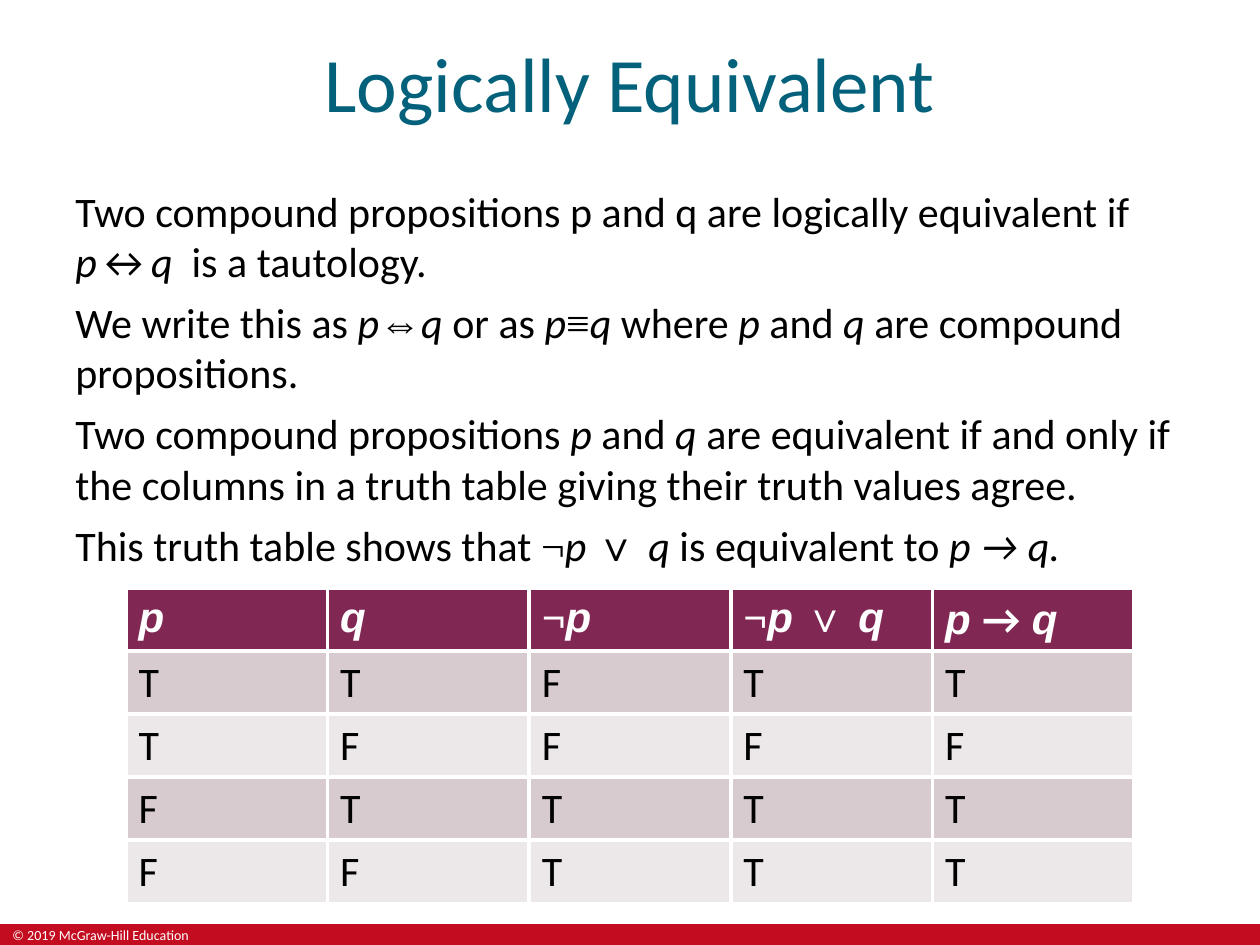
from dataclasses import dataclass

from lxml.etree import SubElement
from pptx import Presentation
from pptx.dml.color import RGBColor
from pptx.enum.shapes import MSO_SHAPE
from pptx.enum.text import MSO_ANCHOR, PP_ALIGN
from pptx.oxml.ns import qn
from pptx.util import Emu, Inches, Pt

PX = Inches(1) / 126


@dataclass(frozen=True)
class Theme:
    title: str = "04617B"
    ink: str = "000000"
    paper: str = "FFFFFF"
    bar: str = "C30C20"
    header: str = "802754"
    bands: tuple = ("D7CBCF", "ECE7E9")
    title_size: int = 44
    body_size: int = 24
    footer_size: int = 8
    border: float = 2.25


@dataclass(frozen=True)
class Face:
    font: str = "Calibri"
    italic: bool = False
    bold: bool = False


THEME = Theme()
PLAIN = Face()
VARIABLE = Face(italic=True)
SYMBOL = Face("Times New Roman")
HEAD_VARIABLE = Face("Arial", italic=True, bold=True)
HEAD_SYMBOL = Face("Times New Roman", bold=True)
HEAD_ARROW = Face(bold=True)

P = ("p", VARIABLE)
Q = ("q", VARIABLE)
AND = (" and ", PLAIN)

STATEMENTS = [
    [("Two compound propositions p and q are logically equivalent if ", PLAIN),
     P, ("↔", PLAIN), Q, ("  is a tautology.", PLAIN)],
    [("We write this as ", PLAIN), P, ("⇔", SYMBOL), Q, (" or as ", PLAIN),
     P, ("≡", SYMBOL), Q, (" where ", PLAIN), P, AND, Q,
     (" are compound propositions.", PLAIN)],
    [("Two compound propositions ", PLAIN), P, AND, Q,
     (" are equivalent if and only if the columns in a truth table "
      "giving their truth values agree.", PLAIN)],
    [("This truth table shows that ", PLAIN), ("¬", SYMBOL), ("p ", VARIABLE),
     ("∨ ", SYMBOL), ("q ", VARIABLE), ("is equivalent to ", PLAIN),
     ("p → q.", VARIABLE)],
]

HEADINGS = [
    [("p", HEAD_VARIABLE)],
    [("q", HEAD_VARIABLE)],
    [("¬", HEAD_SYMBOL), ("p", HEAD_VARIABLE)],
    [("¬", HEAD_SYMBOL), ("p ", HEAD_VARIABLE), ("∨", HEAD_SYMBOL),
     (" q", HEAD_VARIABLE)],
    [("p ", HEAD_VARIABLE), ("→", HEAD_ARROW), (" q", HEAD_VARIABLE)],
]
TRUTH_VALUES = ["TTFTT", "TFFFF", "FTTTT", "FFTTT"]


def emu(box):
    return [Emu(round(length * PX)) for length in box]


def add_runs(paragraph, runs, size, color):
    for words, face in runs:
        run = paragraph.add_run()
        run.text = words
        run.font.name = face.font
        run.font.italic = face.italic
        run.font.bold = face.bold
        run.font.size = Pt(size)
        run.font.color.rgb = RGBColor.from_string(color)


def add_text_frame(slide, box):
    frame = slide.shapes.add_textbox(*emu(box)).text_frame
    frame.word_wrap = True
    return frame


def add_footer(slide, box):
    left, top, _, height = box
    bar = slide.shapes.add_shape(MSO_SHAPE.RECTANGLE, *emu(box))
    bar.shadow.inherit = False
    bar.fill.solid()
    bar.fill.fore_color.rgb = RGBColor.from_string(THEME.bar)
    bar.line.fill.background()
    copyright_line = add_text_frame(slide, (left, top, 214, height)).paragraphs[0]
    copyright_line.line_spacing = 0.8
    add_runs(copyright_line, [("© 2019 McGraw-Hill Education", PLAIN)],
             THEME.footer_size, THEME.paper)


def add_title(slide, box):
    frame = add_text_frame(slide, box)
    frame.vertical_anchor = MSO_ANCHOR.MIDDLE
    heading = frame.paragraphs[0]
    heading.alignment = PP_ALIGN.CENTER
    add_runs(heading, [("Logically Equivalent", PLAIN)], THEME.title_size, THEME.title)


def add_statements(slide, box):
    frame = add_text_frame(slide, box)
    for index, runs in enumerate(STATEMENTS):
        statement = frame.add_paragraph() if index else frame.paragraphs[0]
        if index:
            statement.space_before = Pt(6)
        add_runs(statement, runs, THEME.body_size, THEME.ink)


def add_borders(cell):
    properties = cell._tc.get_or_add_tcPr()
    for position, side in enumerate(("lnL", "lnR", "lnT", "lnB")):
        line = properties.makeelement(qn(f"a:{side}"), {"w": str(Pt(THEME.border))})
        fill = SubElement(line, qn("a:solidFill"))
        SubElement(fill, qn("a:srgbClr"), val=THEME.paper)
        properties.insert(position, line)


def add_truth_table(slide, box):
    rows = [HEADINGS] + [[[(value, PLAIN)] for value in row] for row in TRUTH_VALUES]
    table = slide.shapes.add_table(len(rows), len(HEADINGS), *emu(box)).table
    for row_index, row in enumerate(rows):
        fill = THEME.bands[(row_index - 1) % 2] if row_index else THEME.header
        color = THEME.ink if row_index else THEME.paper
        for column_index, runs in enumerate(row):
            cell = table.cell(row_index, column_index)
            cell.fill.solid()
            cell.fill.fore_color.rgb = RGBColor.from_string(fill)
            add_borders(cell)
            add_runs(cell.text_frame.paragraphs[0], runs, THEME.body_size, color)


def main():
    presentation = Presentation()
    presentation.slide_width, presentation.slide_height = emu((1260, 945))
    slide = presentation.slides.add_slide(presentation.slide_layouts[6])
    add_footer(slide, (0, 924, 1260, 21))
    add_title(slide, (0, 0, 1260, 164))
    add_statements(slide, (63, 179, 1172, 403))
    add_truth_table(slide, (126, 588, 1008, 315))
    presentation.save("out.pptx")


if __name__ == "__main__":
    main()
